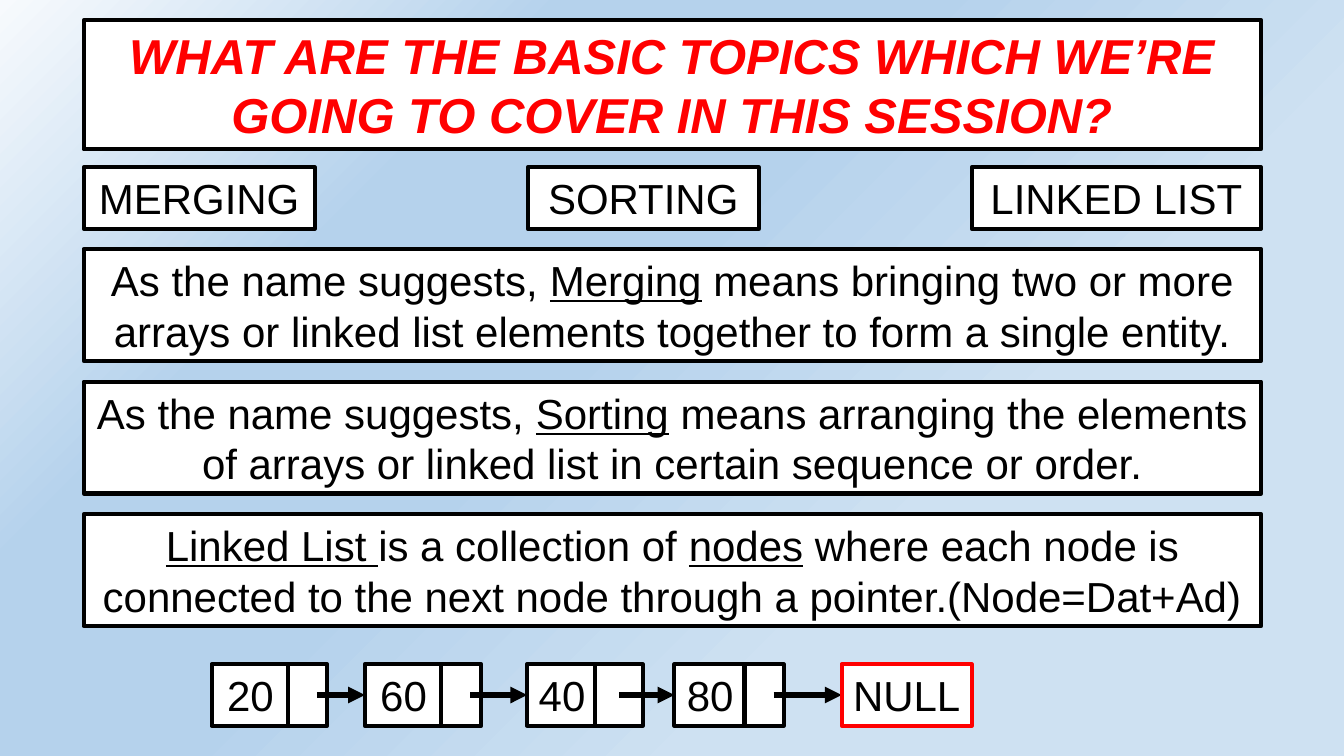
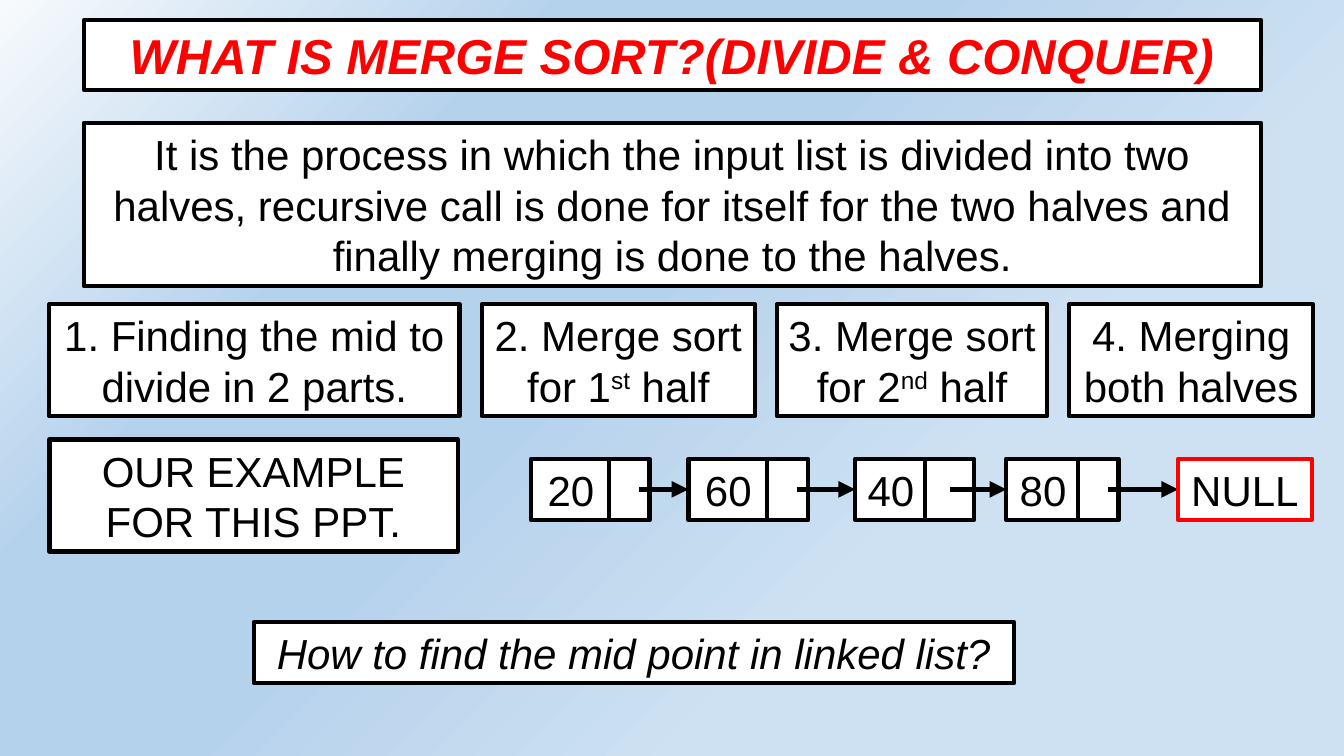
import lxml.etree
import pptx
import pptx.dml.color
import pptx.enum.dml
import pptx.enum.shapes
import pptx.enum.text
import pptx.oxml.ns
import pptx.util

Pt = pptx.util.Pt
RGBColor = pptx.dml.color.RGBColor
qn = pptx.oxml.ns.qn

BLACK = RGBColor(0x00, 0x00, 0x00)
WHITE = RGBColor(0xFF, 0xFF, 0xFF)
RED = RGBColor(0xFF, 0x00, 0x00)
PALE = RGBColor(0xF7, 0xFA, 0xFD)
SKY = RGBColor(0xB5, 0xD2, 0xEC)
MIST = RGBColor(0xCE, 0xE1, 0xF2)
GRADIENT = [(0, PALE), (27, SKY), (41, SKY), (44, SKY), (69, MIST)]

FONT = "Arial"
LEFT, WIDTH = 59.8, 841
ONE_LINE, TWO_LINES, THREE_LINES = 43.9, 79.9, 116.6
UNDERLINE = {"underline": True}
SUPERSCRIPT = {"superscript": True}


def add_box(shapes, text, left, top, width, height, size=30, color=BLACK,
            border=BLACK, bold=False, italic=False):
    """Add a bordered box; text is a string or a list of (text, style) runs."""
    shape = shapes.add_shape(pptx.enum.shapes.MSO_SHAPE.RECTANGLE,
                             Pt(left), Pt(top), Pt(width), Pt(height))
    shape.shadow.inherit = False
    shape.fill.solid()
    shape.fill.fore_color.rgb = WHITE
    shape.line.color.rgb = border
    shape.line.width = Pt(3)
    frame = shape.text_frame
    frame.word_wrap = True
    frame.vertical_anchor = pptx.enum.text.MSO_ANCHOR.MIDDLE
    paragraph = frame.paragraphs[0]
    paragraph.alignment = pptx.enum.text.PP_ALIGN.CENTER
    for words, style in [(text, {})] if isinstance(text, str) else text:
        run = paragraph.add_run()
        run.text = words
        run.font.name = FONT
        run.font.size = Pt(size)
        run.font.color.rgb = color
        run.font.bold = bold
        run.font.italic = italic
        run.font.underline = style.get("underline", False)
        if style.get("superscript"):
            run.font._element.set("baseline", "30000")
    return shape


presentation = pptx.Presentation()
presentation.slide_width = Pt(960)
presentation.slide_height = Pt(540)

# Shared gradient background, set once on the master
master = presentation.slide_master
background = master.background.fill
background.gradient()
background.gradient_angle = 315
stops = master.element.find(".//" + qn("a:gsLst"))
for stop in list(stops):
    stops.remove(stop)
for percent, color in GRADIENT:
    stop = lxml.etree.SubElement(stops, qn("a:gs"), pos=str(percent * 1000))
    lxml.etree.SubElement(stop, qn("a:srgbClr"), val=str(color))

blank = presentation.slide_layouts[6]
topics = presentation.slides.add_slide(blank)
merge_sort = presentation.slides.add_slide(blank)

# Titles
for slide, title, height in [
    (topics, "WHAT ARE THE BASIC TOPICS WHICH WE’RE GOING TO COVER IN THIS SESSION?", 92.2),
    (merge_sort, "WHAT IS MERGE SORT?(DIVIDE & CONQUER)", 49.7),
]:
    add_box(slide.shapes, title, LEFT, 14.4, WIDTH, height,
            size=35, color=RED, bold=True, italic=True)

# Definitions of the topics
definitions = [
    [("As the name suggests, ", {}), ("Merging", UNDERLINE),
     (" means bringing two or more arrays or linked list elements together"
      " to form a single entity.", {})],
    [("As the name suggests, ", {}), ("Sorting", UNDERLINE),
     (" means arranging the elements of arrays or linked list in certain"
      " sequence or order.", {})],
    [("Linked List ", UNDERLINE), ("is a collection of ", {}), ("nodes", UNDERLINE),
     (" where each node is connected to the next node through a"
      " pointer.(Node=Dat+Ad)", {})],
]
for index, definition in enumerate(definitions):
    add_box(topics.shapes, definition, LEFT, 177.9 + 94.7 * index, WIDTH, TWO_LINES)

# Explanation, example label and closing question
add_box(merge_sort.shapes,
        "It is the process in which the input list is divided into two halves,"
        " recursive call is done for itself for the two halves and finally merging"
        " is done to the halves.", LEFT, 87.8, WIDTH, THREE_LINES)
add_box(merge_sort.shapes, "OUR EXAMPLE FOR THIS PPT.", 35.3, 314, 291.6, TWO_LINES)
add_box(merge_sort.shapes, "How to find the mid point in linked list?",
        181.4, 444.2, 542.9, ONE_LINE, italic=True)

# Rows of boxes with equal gaps: topic names and merge sort steps
topic_names = [("MERGING", 165), ("SORTING", 165), ("LINKED LIST", 206.6)]
steps = [
    ("1. Finding the mid to divide in 2 parts.", 293),
    ([("2. Merge sort for 1", {}), ("st", SUPERSCRIPT), (" half", {})], 195.1),
    ([("3. Merge sort for 2", {}), ("nd", SUPERSCRIPT), (" half", {})], 193),
    ("4. Merging both halves", 174.2),
]
for slide, items, left, top, height, gap in [
    (topics, topic_names, LEFT, 119.5, ONE_LINE, 152.2),
    (merge_sort, steps, 35.3, 217.4, TWO_LINES, 15.8),
]:
    for text, width in items:
        add_box(slide.shapes, text, left, top, width, height)
        left += width + gap

# Linked list: value, offset, data width, pointer width, arrow inset
nodes = [
    ("20", 0, 55.4, 28, 7.2),
    ("60", 109.4, 55.4, 28.8, 7.9),
    ("40", 225.4, 49.7, 33.8, 16.6),
    ("80", 330.5, 51.1, 28, 7.2),
]
null_offset, null_width = 450, 92.9
arrow_ends = [node[1] for node in nodes[1:]] + [null_offset]
for slide, left, top, scale in [(topics, 151.2, 474.5, 1), (merge_sort, 379.4, 327.6, 1.027)]:
    chain = slide.shapes.add_group_shape().shapes
    middle = top + ONE_LINE / 2
    for (value, offset, data, pointer, inset), arrow_end in zip(nodes, arrow_ends):
        node_left = left + offset * scale
        pointer_left = node_left + (data - 1) * scale
        add_box(chain, value, node_left, top, data * scale, ONE_LINE)
        add_box(chain, "", pointer_left, top, pointer * scale, ONE_LINE)
        arrow = chain.add_connector(
            pptx.enum.shapes.MSO_CONNECTOR.STRAIGHT,
            Pt(pointer_left + (pointer - inset) * scale), Pt(middle),
            Pt(left + arrow_end * scale), Pt(middle))
        arrow.line.color.rgb = BLACK
        arrow.line.width = Pt(4)
        lxml.etree.SubElement(arrow.line._get_or_add_ln(), qn("a:tailEnd"), type="triangle")
        lxml.etree.SubElement(arrow._element.spPr, qn("a:effectLst"))
    add_box(chain, "NULL", left + null_offset * scale, top,
            null_width * scale, ONE_LINE, border=RED)

presentation.save("out.pptx")
